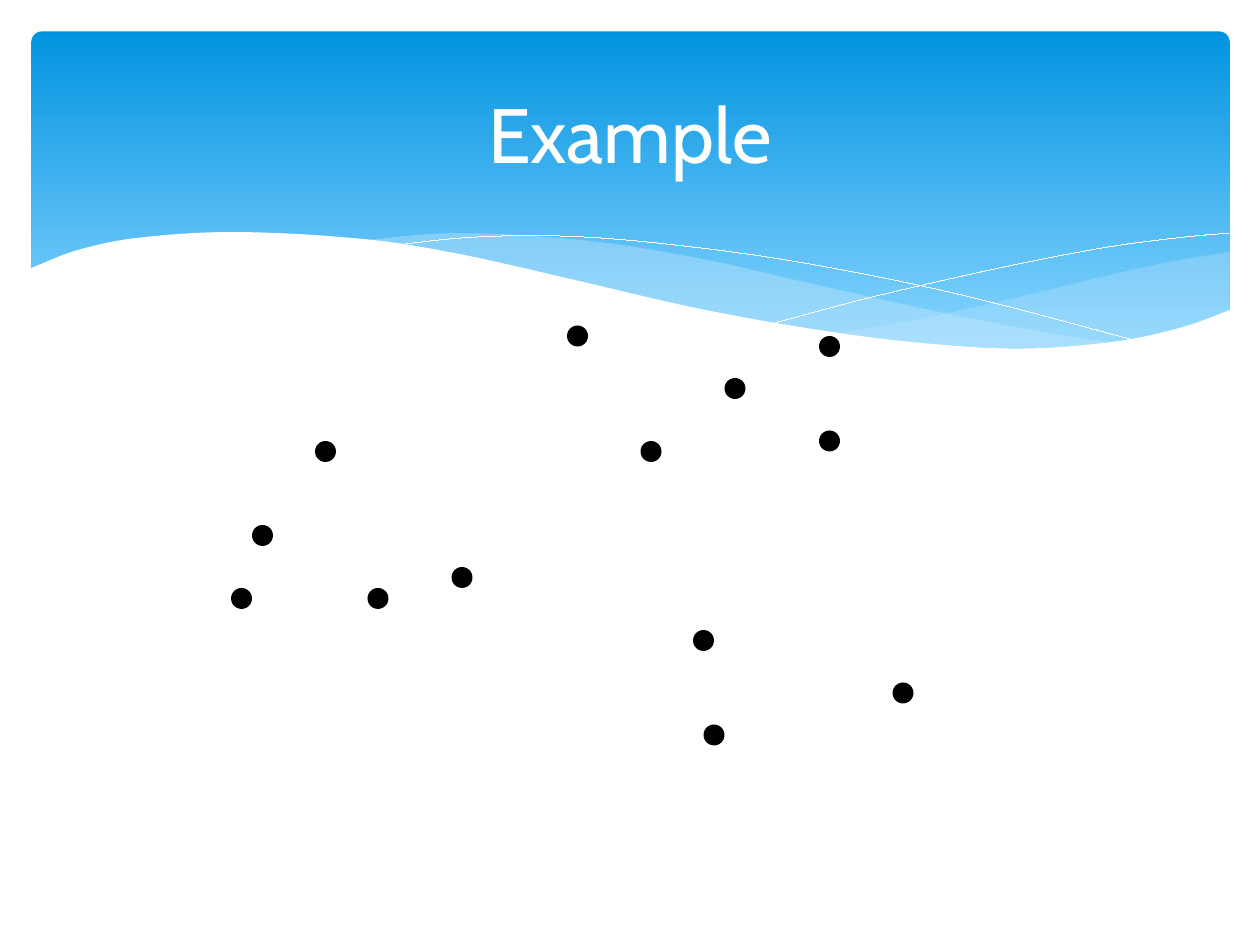
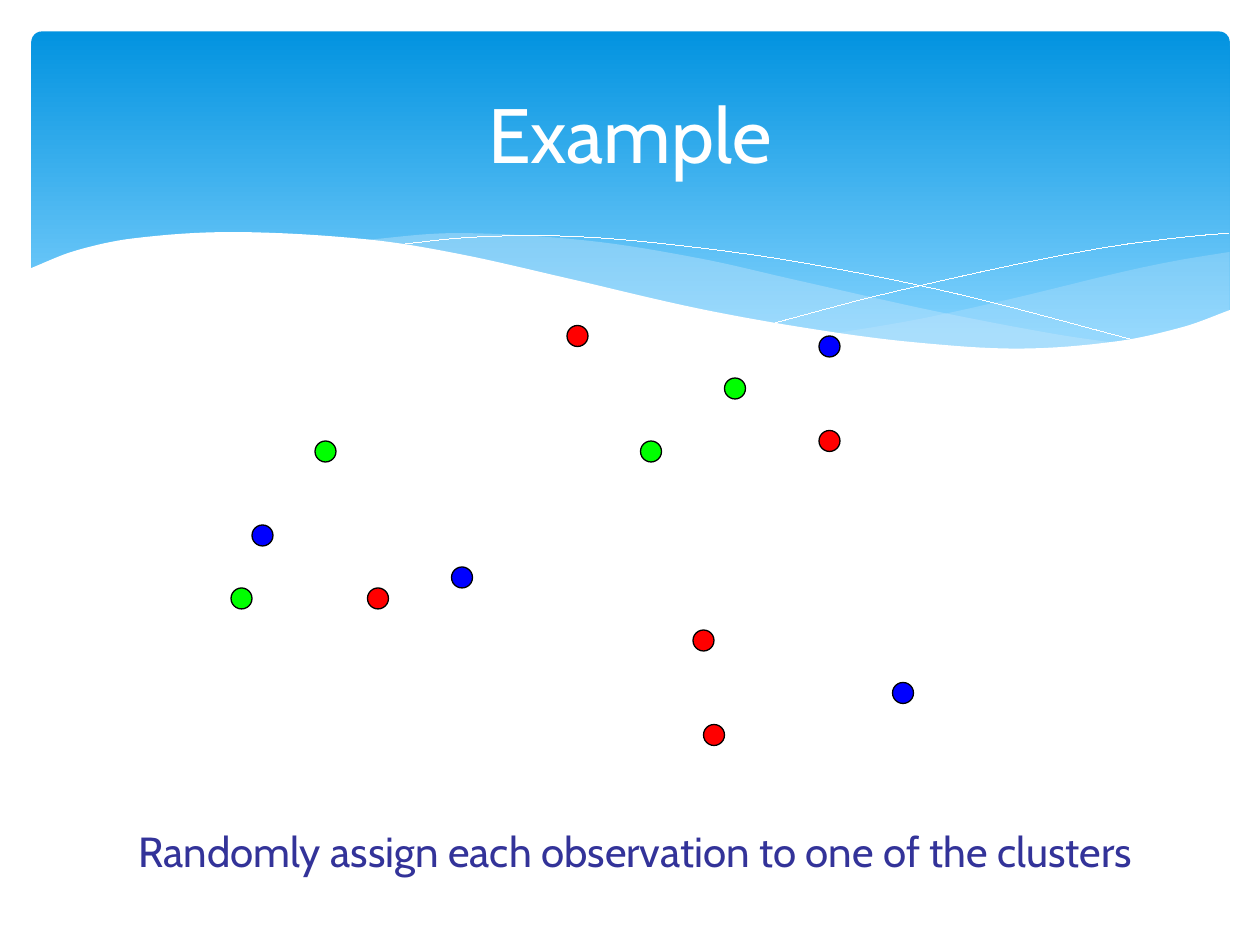
"""Build two slides that show observations before and after random cluster assignment."""
import lxml.etree
import pptx
import pptx.dml.color
import pptx.enum.shapes
import pptx.enum.text
import pptx.oxml.ns
import pptx.util

COLOURS = {
    "sky_top": "0293E0", "sky_bottom": "83D3FE", "mist": "C6E7FC", "white": "FFFFFF",
    "black": "000000", "red": "FF0000", "green": "00FF00", "blue": "0000FF", "caption": "333399",
}
FONT = "Cabin"
HAIRLINE = pptx.util.Pt(0.01)
COLUMNS, ROWS = 120, 90
CELL = pptx.util.Inches(10) // COLUMNS
SLIDE_BOX = (0, 0, COLUMNS, ROWS)
PANEL_BOX = (3, 3, 114.1, 32.4)
TITLE_BOX = (6, 4.4, 108, 16.4)
FIELD_BOX = (22, 31, 65, 40)
CAPTION_BOX = (12, 78, 101, 6)
DOT_SIZE = 2
STEPS_PER_SPAN = 8

SWELLS = [
    {
        "colour": "mist", "opacity": 29,
        "upper": [(79.3, 31.8), (87.5, 30.4), (96.6, 28.4), (106.9, 25.9), (112.2, 24.8), (117.1, 24)],
        "lower": [(79.3, 31.8), (87.8, 32.9), (97.7, 33.3), (106.7, 32.6), (112.2, 31.4), (117.1, 29.6)],
    },
    {
        "colour": "mist", "opacity": 40,
        "upper": [(34.3, 22.9), (43.3, 22.2), (55.8, 22.9), (66.6, 24.6),
                  (75.5, 26.6), (88.9, 29.6), (100.4, 31.8), (107.2, 32.8)],
        "lower": [(34.3, 22.9), (43.4, 24.4), (53.9, 26.6), (67.9, 29.8),
                  (79.8, 31.9), (89.8, 33.1), (98.2, 33.4), (107.2, 32.8)],
    },
]
THREADS = [
    [(37.1, 23.4), (44.9, 22.6), (54, 22.5), (64, 23.3), (76.3, 25), (91.2, 28), (108.8, 32.6)],
    [(73.6, 30.8), (83.4, 28.2), (96.7, 25.2), (105.7, 23.5), (112.6, 22.6), (117, 22.2)],
]
CREST = {
    "colour": "white", "opacity": 100,
    "upper": [(2.8, 25.6), (7.1, 23.9), (12.7, 22.7), (22.2, 22.1), (35, 22.8), (43.8, 24.2),
              (53.6, 26.4), (66.6, 29.4), (77.8, 31.4), (87.1, 32.6), (97.1, 33.2),
              (106.4, 32.5), (112.8, 31.1), (117.2, 29.5)],
    "lower": [(2.8, 39.5), (117.2, 39.5)],
}
OBSERVATIONS = [
    (2, 19, "blue"), (8, 11, "green"), (13, 25, "red"), (56, 1, "blue"), (45, 38, "red"),
    (39, 11, "green"), (47, 5, "green"), (63, 34, "blue"), (44, 29, "red"), (56, 10, "red"),
    (32, 0, "red"), (0, 25, "green"), (21, 23, "blue"),
]


def colour(name):
    """Return the named colour."""
    return pptx.dml.color.RGBColor.from_string(COLOURS[name])


def emu(*cells):
    """Convert grid cells to slide lengths."""
    return [pptx.util.Emu(round(n * CELL)) for n in cells]


def within(box, left, top, width, height):
    """Return a box, in cells, that is offset from the corner of another."""
    return (box[0] + left, box[1] + top, width, height)


def smooth(knots):
    """Return points on a cubic curve that passes through knots ordered by x."""
    before, after = [knots[0]] + knots[:-1], knots[1:] + [knots[-1]]
    slopes = [(y1 - y0) / (x1 - x0) for (x0, y0), (x1, y1) in zip(before, after)]
    points = [knots[0]]
    for (x0, y0), (x1, y1), slope0, slope1 in zip(knots, knots[1:], slopes, slopes[1:]):
        span = x1 - x0
        for step in range(1, STEPS_PER_SPAN + 1):
            t = step / STEPS_PER_SPAN
            blend = t * t * (3 - 2 * t)
            bend = span * t * (1 - t) * (slope0 * (1 - t) - slope1 * t)
            points.append((x0 + span * t, y0 + (y1 - y0) * blend + bend))
    return points


def fill_solid(shape, name, opacity=100):
    """Fill a shape with a colour at an opacity in percent."""
    shape.fill.solid()
    shape.fill.fore_color.rgb = colour(name)
    if opacity < 100:
        tint = shape.element.spPr.find(".//" + pptx.oxml.ns.qn("a:srgbClr"))
        lxml.etree.SubElement(tint, pptx.oxml.ns.qn("a:alpha"), val=str(opacity * 1000))


def draw_outline(slide, box, points, closed):
    """Draw a freeform through points given in cells from the corner of a box."""
    start, *rest = [emu(box[0] + x, box[1] + y) for x, y in points]
    builder = slide.shapes.build_freeform(*start)
    builder.add_line_segments(rest, close=closed)
    shape = builder.convert_to_shape()
    shape.shadow.inherit = False
    return shape


def draw_swell(slide, box, swell):
    """Fill the area between the upper and lower edge of a swell."""
    edges = smooth(swell["upper"]) + smooth(swell["lower"])[::-1]
    wave = draw_outline(slide, box, edges, closed=True)
    fill_solid(wave, swell["colour"], swell["opacity"])
    wave.line.fill.background()


def draw_thread(slide, box, knots):
    """Draw a white hairline curve."""
    curve = draw_outline(slide, box, smooth(knots), closed=False)
    curve.fill.background()
    curve.line.color.rgb = colour("white")
    curve.line.width = HAIRLINE


def draw_panel(slide, box):
    """Draw the rounded gradient panel."""
    panel = slide.shapes.add_shape(
        pptx.enum.shapes.MSO_SHAPE.ROUNDED_RECTANGLE, *emu(*within(box, *PANEL_BOX)))
    panel.adjustments[0] = 0.03
    panel.shadow.inherit = False
    panel.line.fill.background()
    panel.fill.gradient()
    panel.fill.gradient_angle = 270
    for stop, name, position in zip(panel.fill.gradient_stops, ("sky_top", "sky_bottom"), (0, 0.9)):
        stop.color.rgb = colour(name)
        stop.position = position


def draw_band(slide, box):
    """Draw the panel, its translucent swells and threads, and the crest that cuts it off."""
    draw_panel(slide, box)
    for swell in SWELLS:
        draw_swell(slide, box, swell)
    for knots in THREADS:
        draw_thread(slide, box, knots)
    draw_swell(slide, box, CREST)


def write(frame, text, size, name):
    """Add one run of text to the first paragraph of a frame."""
    run = frame.paragraphs[0].add_run()
    run.text = text
    run.font.name = FONT
    run.font.size = pptx.util.Pt(size)
    run.font.color.rgb = colour(name)


def place_title(slide, box, text):
    """Place and format the title in front of the band."""
    title = slide.shapes.title
    slide.shapes.element.append(title.element)
    title.left, title.top, title.width, title.height = emu(*within(box, *TITLE_BOX))
    title.text_frame.vertical_anchor = pptx.enum.text.MSO_ANCHOR.MIDDLE
    title.text_frame.paragraphs[0].alignment = pptx.enum.text.PP_ALIGN.CENTER
    write(title.text_frame, text, 44, "white")


def scatter(slide, box, clustered):
    """Plot the observations, coloured by cluster when assigned."""
    for column, row, cluster in OBSERVATIONS:
        dot = slide.shapes.add_shape(
            pptx.enum.shapes.MSO_SHAPE.OVAL, *emu(*within(box, column, row, DOT_SIZE, DOT_SIZE)))
        dot.shadow.inherit = False
        fill_solid(dot, cluster if clustered else "black")
        if clustered:
            dot.line.color.rgb = colour("black")
            dot.line.width = pptx.util.Pt(0.75)
        else:
            dot.line.fill.background()


def place_caption(slide, box, text):
    """Place the explanation below the observations."""
    caption = slide.shapes.add_textbox(*emu(*within(box, *CAPTION_BOX)))
    caption.text_frame.word_wrap = True
    caption.text_frame.auto_size = pptx.enum.text.MSO_AUTO_SIZE.SHAPE_TO_FIT_TEXT
    write(caption.text_frame, text, 24, "caption")


def example_slide(deck, caption=None):
    """Add an example slide; a caption means that clusters are assigned."""
    slide = deck.slides.add_slide(deck.slide_layouts.get_by_name("Title Only"))
    draw_band(slide, SLIDE_BOX)
    scatter(slide, within(SLIDE_BOX, *FIELD_BOX), clustered=caption is not None)
    if caption:
        place_caption(slide, SLIDE_BOX, caption)
    place_title(slide, SLIDE_BOX, "Example")


def main():
    """Build and save the deck."""
    deck = pptx.Presentation()
    deck.slide_width, deck.slide_height = emu(COLUMNS, ROWS)
    example_slide(deck)
    example_slide(deck, "Randomly assign each observation to one of the clusters")
    deck.save("out.pptx")


if __name__ == "__main__":
    main()
